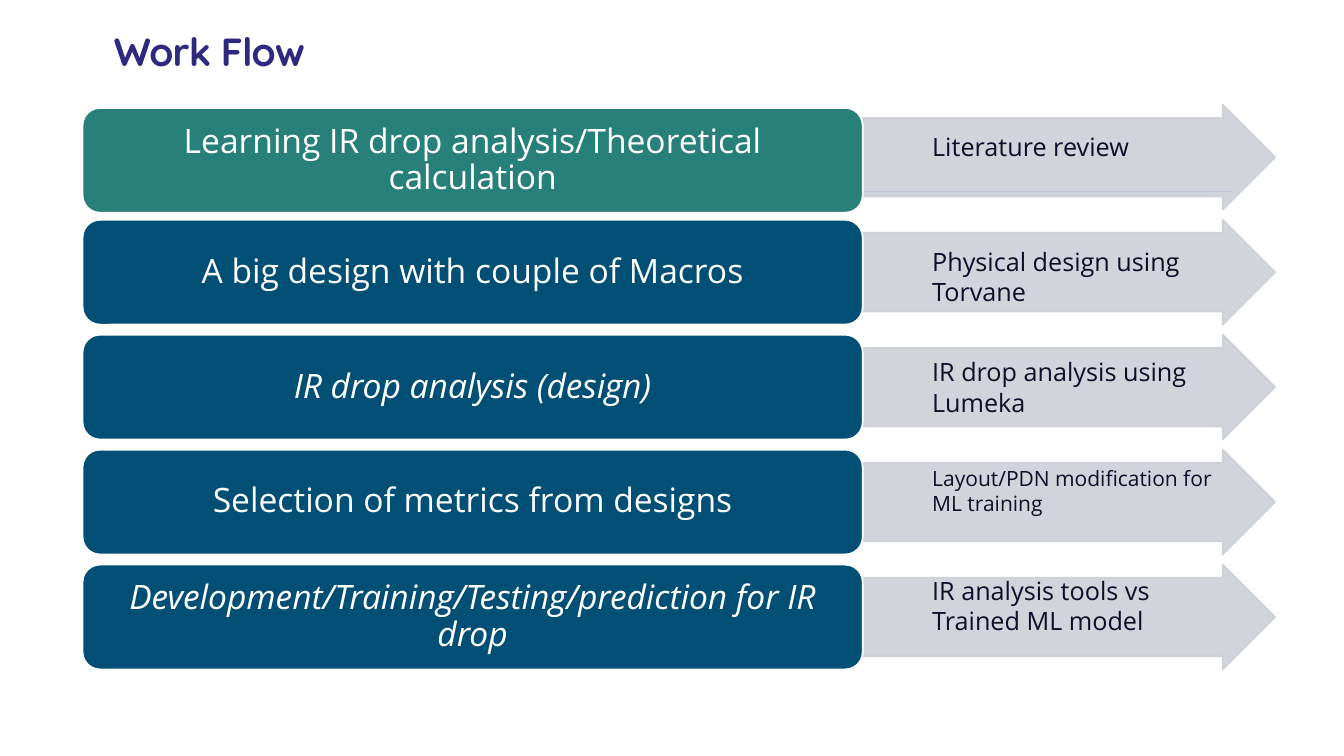
from lxml import etree
from pptx import Presentation
from pptx.dml.color import RGBColor
from pptx.enum import shapes, text
from pptx.oxml.ns import qn
from pptx.util import Pt

ROWS_LEFT, ROWS_TOP, ROW_PITCH, ROW_HEIGHT = 59, 74.9, 82.1, 74.9
STEP_WIDTH, ARROW_WIDTH = 557.3, 294.5
TEAL, NAVY, GREY, INK = "27807A", "024F75", "CCD0D6", "0F0D29"

# step, italic, step fill, step offset, output, output size, width, offset
STEPS = [
    ("Learning IR drop analysis/Theoretical calculation", False, TEAL, 2.2,
     "Literature review", 18, 183, 15.1),
    ("A big design with couple of Macros", False, NAVY, 0,
     "Physical design using Torvane", 18, 240.5, 15.1),
    ("IR drop analysis (design)", True, NAVY, 0,
     "IR drop analysis using Lumeka", 18, 240.5, 12.2),
    ("Selection of metrics from designs", False, NAVY, 0,
     "Layout/PDN modification for ML training", 15, 226, 7.9),
    ("Development/Training/Testing/prediction for IR drop", True, NAVY, 0,
     "IR analysis tools vs Trained ML model", 18, 183, 4.3),
]


def rgb(value):
    return RGBColor.from_string(value)


def box(left, top, width, height):
    return [Pt(v) for v in (left, top, width, height)]


def write(sp, words, font, size, color, anchor):
    """Fill a shape with one wrapped paragraph and return it."""
    tf = sp.text_frame
    tf.word_wrap = True
    tf.vertical_anchor = anchor
    p = tf.paragraphs[0]
    p.text = words
    p.font.name, p.font.size = font, Pt(size)
    p.font.color.rgb = rgb(color)
    return p


def add_block(s, kind, place, fill, line):
    sp = s.shapes.add_shape(kind, *box(*place))
    sp.shadow.inherit = False
    sp.fill.solid()
    sp.fill.fore_color.rgb = rgb(fill)
    sp.line.color.rgb = rgb(line)
    sp.line.width = Pt(1.25)
    return sp


def add_rule(s, left, top, width):
    line = s.shapes.add_connector(shapes.MSO_CONNECTOR.STRAIGHT,
                                  Pt(left), Pt(top), Pt(left + width), Pt(top))
    line.line.color.rgb = rgb("5A52C8")
    line.line.width = Pt(0.5)
    etree.SubElement(line._element.spPr, qn("a:effectLst"))


def add_title(s, left, top, width, height):
    sp = s.shapes.add_textbox(*box(left, top, width, height))
    p = write(sp, "Work Flow", "Quicksand", 28, "2F2880",
              text.MSO_ANCHOR.BOTTOM)
    p.font.bold = True
    p.line_spacing = 0.85
    p.runs[0]._r.get_or_add_rPr().set("spc", "-50")


def add_arrow(s, left, top):
    arrow = add_block(s, shapes.MSO_SHAPE.RIGHT_ARROW,
                      (left, top, ARROW_WIDTH, ROW_HEIGHT), GREY, GREY)
    arrow.adjustments[0] = 0.75
    for color in arrow._element.spPr.iter(qn("a:srgbClr")):
        etree.SubElement(color, qn("a:alpha"), val="90000")


def add_row(s, left, top, step):
    """Place a step box, its arrow and the output written on the arrow."""
    words, italic, fill, drop, output, size, width, offset = step
    arrow_left = left + STEP_WIDTH
    add_arrow(s, arrow_left, top)
    sp = add_block(s, shapes.MSO_SHAPE.ROUNDED_RECTANGLE,
                   (left, top + drop, STEP_WIDTH, ROW_HEIGHT), fill, "FFFFFF")
    p = write(sp, words, "Open Sans", 24, "FFFFFF", text.MSO_ANCHOR.MIDDLE)
    p.font.italic = italic
    p.alignment = text.PP_ALIGN.CENTER
    p.line_spacing = 0.9
    label = s.shapes.add_textbox(
        *box(arrow_left + 42.5, top + offset, width, size * 2.8))
    write(label, output, "Open Sans", size, INK, text.MSO_ANCHOR.TOP)


def main():
    prs = Presentation()
    prs.slide_width, prs.slide_height = Pt(960), Pt(540)
    s = prs.slides.add_slide(prs.slide_layouts[6])
    add_rule(s, 94.3, 136.8, 784.8)
    add_title(s, 74.2, 18, 792, 38.9)
    for i, step in enumerate(STEPS):
        add_row(s, ROWS_LEFT, ROWS_TOP + i * ROW_PITCH, step)
    prs.save("out.pptx")


if __name__ == "__main__":
    main()
